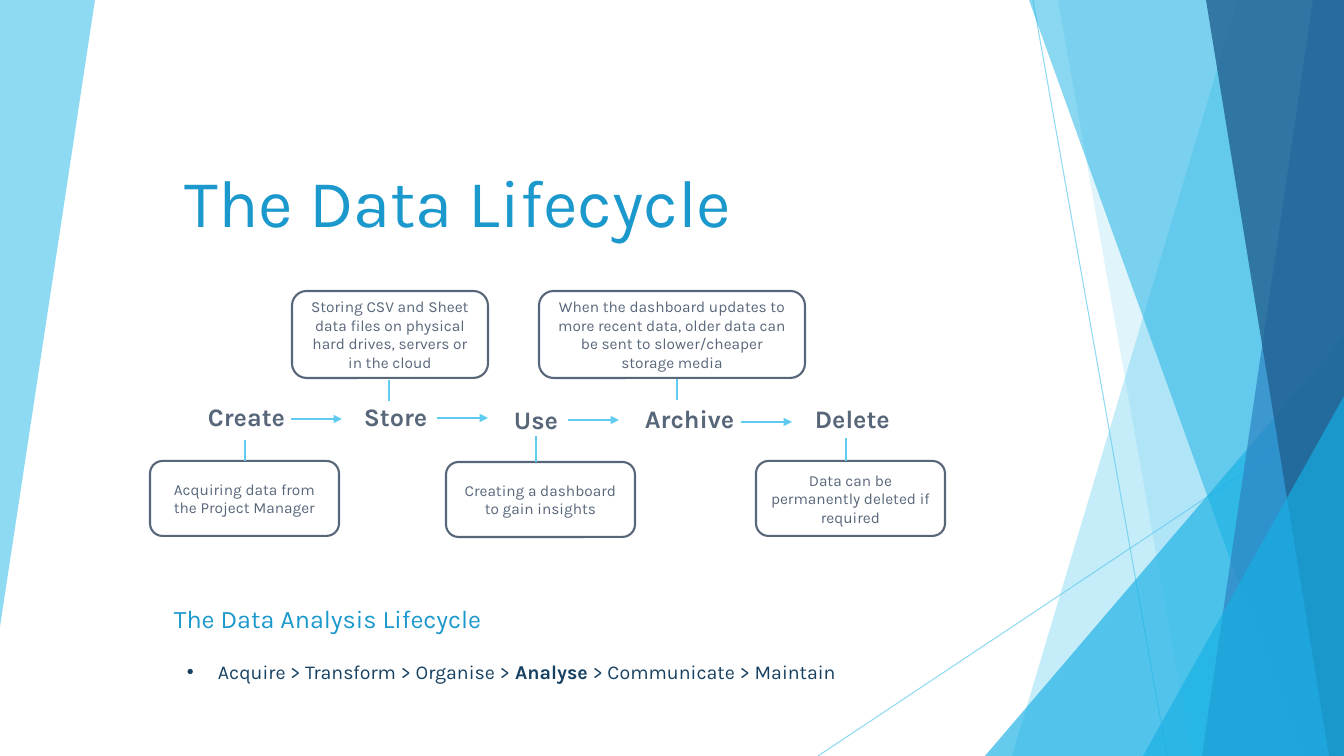
"""Build the data lifecycle slide."""
from lxml.etree import SubElement
from pptx import Presentation
from pptx.dml.color import RGBColor
from pptx.enum.shapes import MSO_CONNECTOR, MSO_SHAPE
from pptx.enum.text import MSO_ANCHOR, MSO_AUTO_SIZE, PP_ALIGN
from pptx.oxml.ns import qn
from pptx.util import Pt

WIDTH, HEIGHT = 1344, 756
SCALE = 12192000 / WIDTH
FONT = "Karla"
WHITE = RGBColor(0xFF, 0xFF, 0xFF)
SKY = RGBColor(0x5F, 0xCB, 0xEF)
CYAN = RGBColor(0x17, 0xB0, 0xE4)
BLUE = RGBColor(0x2E, 0x83, 0xC3)
DEEP = RGBColor(0x22, 0x62, 0x92)
HEADING = RGBColor(0x1B, 0x98, 0xCC)
SLATE = RGBColor(0x58, 0x66, 0x7A)
NAVY = RGBColor(0x17, 0x41, 0x62)

TITLE = ("The Data Lifecycle", (-114, 65, 856, 181))
SUBTITLE = ("The Data Analysis Lifecycle", (164, 598, 720, 40))
STEPS = (["Acquire > Transform > Organise > ", "Analyse", " > Communicate > Maintain"],
         (177, 655, 696, 65))
BULLET_INDENT = 31

LABEL_SIZE = (170, 40)
STAGES = [
    ("Create", (198, 396), "Acquiring data from the Project Manager",
     (150, 461, 189, 75), (245, 440, 461)),
    ("Store", (354, 396),
     "Storing CSV and Sheet data files on physical hard drives, servers or in the cloud",
     (292, 291, 196, 87), (389, 380, 401)),
    ("Use", (504, 399), "Creating a dashboard to gain insights",
     (446, 462, 189, 75), (536, 436, 462)),
    ("Archive", (635, 398),
     "When the dashboard updates to more recent data, older data can be sent to "
     "slower/cheaper storage media",
     (539, 291, 266, 87), (677, 379, 400)),
    ("Delete", (805, 398), "Data can be permanently deleted if required",
     (756, 461, 189, 75), (846, 438, 461)),
]
ARROW_LENGTH = 51
ARROWS = [(291, 419), (437, 418), (568, 420), (741, 422)]

LEFT_PANEL = [(0, 0), (95, 0), (0, 627)]
RAYS = [(1033, 0, 1167, HEIGHT), (WIDTH, 406, 818, HEIGHT)]
PANELS = [
    ("band", (1238, 1012), SKY, 36),
    ("band", (1058, 1192), SKY, 20),
    ("corner", (985, 336), CYAN, 66),
    ("band", (1029, 1301), CYAN, 50),
    ("band", (1313, 1202), BLUE, 70),
    ("band", (1206, 1329), DEEP, 80),
    ("corner", (1143, 396), CYAN, 66),
]


def emu(*lengths):
    return [round(length * SCALE) for length in lengths]


def set_alpha(color_parent, percent):
    color = next(color_parent.iter(qn("a:srgbClr")))
    SubElement(color, qn("a:alpha"), val=str(percent * 1000))


def paint(shape, color, alpha):
    shape.shadow.inherit = False
    shape.fill.solid()
    shape.fill.fore_color.rgb = color
    shape.line.fill.background()
    set_alpha(shape.fill._xPr, alpha)


def add_polygon(page, points, color, alpha):
    builder = page.shapes.build_freeform(*points[0], scale=SCALE)
    builder.add_line_segments(points[1:], close=True)
    paint(builder.convert_to_shape(), color, alpha)


def add_corner(page, left, top, color, alpha):
    shape = page.shapes.add_shape(MSO_SHAPE.ISOSCELES_TRIANGLE,
                                  *emu(left, top, WIDTH - left, HEIGHT - top))
    shape.adjustments[0] = 1
    paint(shape, color, alpha)


def add_line(page, ends, weight=1, alpha=None, arrow=False):
    line = page.shapes.add_connector(MSO_CONNECTOR.STRAIGHT, *emu(*ends))
    line.line.color.rgb = SKY
    line.line.width = Pt(weight)
    if alpha:
        set_alpha(line.line._ln, alpha)
    if arrow:
        SubElement(line.line._ln, qn("a:tailEnd"), type="triangle")
    SubElement(line._element.spPr, qn("a:effectLst"))


def style_text(shape, size, color, align=PP_ALIGN.LEFT, anchor=MSO_ANCHOR.TOP, bold=False):
    frame = shape.text_frame
    frame.word_wrap = True
    frame.auto_size = MSO_AUTO_SIZE.NONE
    frame.vertical_anchor = anchor
    for para in frame.paragraphs:
        para.alignment = align
        for span in para.runs:
            span.font.name = FONT
            span.font.size = Pt(size)
            span.font.bold = bold
            span.font.color.rgb = color


def add_text(page, text, place, size, color, bold=False):
    box = page.shapes.add_textbox(*emu(*place))
    box.text_frame.text = text
    style_text(box, size, color, bold=bold)


def add_note(page, text, place):
    box = page.shapes.add_shape(MSO_SHAPE.ROUNDED_RECTANGLE, *emu(*place))
    box.shadow.inherit = False
    box.fill.solid()
    box.fill.fore_color.rgb = WHITE
    box.line.color.rgb = SLATE
    box.line.width = Pt(1.5)
    box.text_frame.text = text
    style_text(box, 11, SLATE, PP_ALIGN.CENTER, MSO_ANCHOR.MIDDLE)


def add_steps(page, parts, place):
    box = page.shapes.add_textbox(*emu(*place))
    para = box.text_frame.paragraphs[0]
    for part in parts:
        para.add_run().text = part
    style_text(box, 14, NAVY)
    para.runs[1].font.bold = True
    indent = emu(BULLET_INDENT)[0]
    properties = para._p.get_or_add_pPr()
    properties.set("marL", str(indent))
    properties.set("indent", str(-indent))
    SubElement(properties, qn("a:buFont"), typeface="Arial")
    SubElement(properties, qn("a:buChar"), char="•")


def add_backdrop(page):
    add_polygon(page, LEFT_PANEL, SKY, 70)
    for ends in RAYS:
        add_line(page, ends, 0.75, 70)
    for kind, (first, second), color, alpha in PANELS:
        if kind == "corner":
            add_corner(page, first, second, color, alpha)
        else:
            points = [(first, 0), (WIDTH, 0), (WIDTH, HEIGHT), (second, HEIGHT)]
            add_polygon(page, points, color, alpha)


def main():
    deck = Presentation()
    deck.slide_width, deck.slide_height = emu(WIDTH, HEIGHT)
    page = deck.slides.add_slide(deck.slide_layouts[5])
    add_backdrop(page)

    title = page.shapes.title
    text, place = TITLE
    title.left, title.top, title.width, title.height = emu(*place)
    title.text_frame.text = text
    style_text(title, 48, HEADING, PP_ALIGN.RIGHT, MSO_ANCHOR.BOTTOM)

    for name, corner, note, place, (x, top, bottom) in STAGES:
        add_text(page, name, corner + LABEL_SIZE, 18, SLATE, bold=True)
        add_note(page, note, place)
        add_line(page, (x, top, x, bottom))
    for x, y in ARROWS:
        add_line(page, (x, y, x + ARROW_LENGTH, y), arrow=True)

    add_text(page, *SUBTITLE, 18, HEADING)
    add_steps(page, *STEPS)
    deck.save("out.pptx")


if __name__ == "__main__":
    main()
